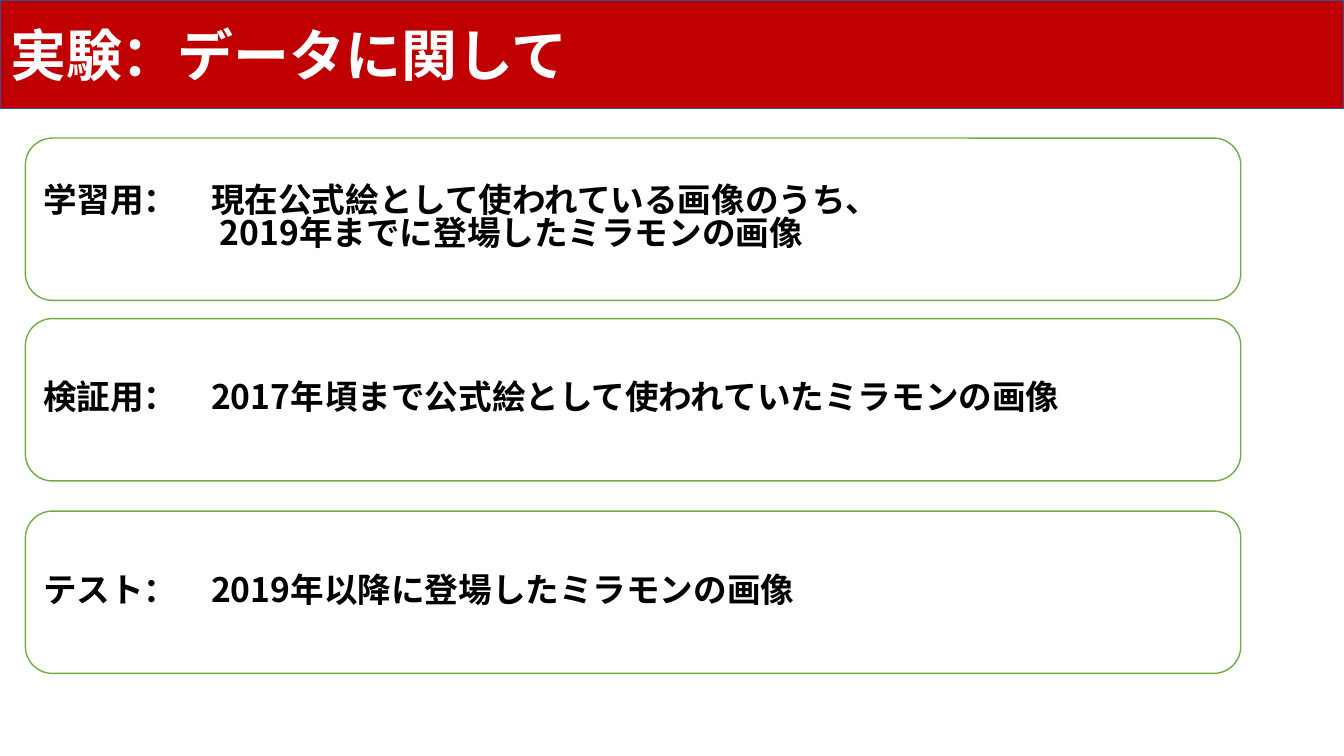
from pptx import Presentation
from pptx.dml.color import RGBColor
from pptx.enum.shapes import MSO_SHAPE as Shape
from pptx.enum.text import MSO_ANCHOR as Anchor, MSO_AUTO_SIZE as AutoSize, PP_ALIGN as Align
from pptx.oxml.ns import qn
from pptx.util import Cm, Pt
from lxml.etree import SubElement

TITLE = "実験：データに関して"
# Top edge in cm, lines of text
DATA_SETS = [
    (3.48, ["学習用：　現在公式絵として使われている画像のうち、",
            "2019年までに登場したミラモンの画像"]),
    (8.03, ["検証用：　2017年頃まで公式絵として使われていたミラモンの画像"]),
    (12.88, ["テスト：　2019年以降に登場したミラモンの画像"]),
]
COLORS = {"banner": "C00000", "banner_line": "325491", "box": "FFFFFF",
          "box_line": "70AD47", "title": "FFFFFF", "text": "000000"}
FONT = "Noto Sans CJK JP"
WIDTH, HEIGHT = 33.87, 19.05
BANNER_HEIGHT = 2.74
BOX_LEFT, BOX_WIDTH, BOX_HEIGHT = 0.64, 30.63, 4.09
CONTINUATION_INDENT = 4.45


def color(name):
    return RGBColor.from_string(COLORS[name])


def paint(shape, fill, line):
    shape.fill.solid()
    shape.fill.fore_color.rgb = color(fill)
    shape.line.color.rgb = color(line)
    shape.line.width = Pt(1)


def write(shape, lines, *, size, ink, spacing=1.0, indent=0):
    """Fill the shape with one paragraph a line, indenting all but the first."""
    frame = shape.text_frame
    frame.word_wrap = True
    frame.auto_size = AutoSize.NONE
    frame.vertical_anchor = Anchor.MIDDLE
    for number, text in enumerate(lines):
        paragraph = frame.add_paragraph() if number else frame.paragraphs[0]
        paragraph.alignment = Align.LEFT
        paragraph.line_spacing = spacing
        if number:
            paragraph._p.get_or_add_pPr().set("marL", str(Cm(indent)))
        run = paragraph.add_run()
        run.text = text
        run.font.size = Pt(size)
        run.font.bold = True
        run.font.color.rgb = color(ink)
        run.font.name = FONT
        SubElement(run.font._element, qn("a:ea"), typeface=FONT)


presentation = Presentation()
presentation.slide_width, presentation.slide_height = Cm(WIDTH), Cm(HEIGHT)
slide = presentation.slides.add_slide(presentation.slide_layouts[5])

banner = slide.shapes.title
banner.left, banner.top = Cm(0), Cm(0)
banner.width, banner.height = Cm(WIDTH), Cm(BANNER_HEIGHT)
paint(banner, "banner", "banner_line")
write(banner, [TITLE], size=40, ink="title")

for top, lines in DATA_SETS:
    box = slide.shapes.add_shape(Shape.ROUNDED_RECTANGLE, Cm(BOX_LEFT), Cm(top),
                                 Cm(BOX_WIDTH), Cm(BOX_HEIGHT))
    box.shadow.inherit = False
    paint(box, "box", "box_line")
    write(box, lines, size=24, ink="text", spacing=0.82, indent=CONTINUATION_INDENT)

presentation.save("out.pptx")
